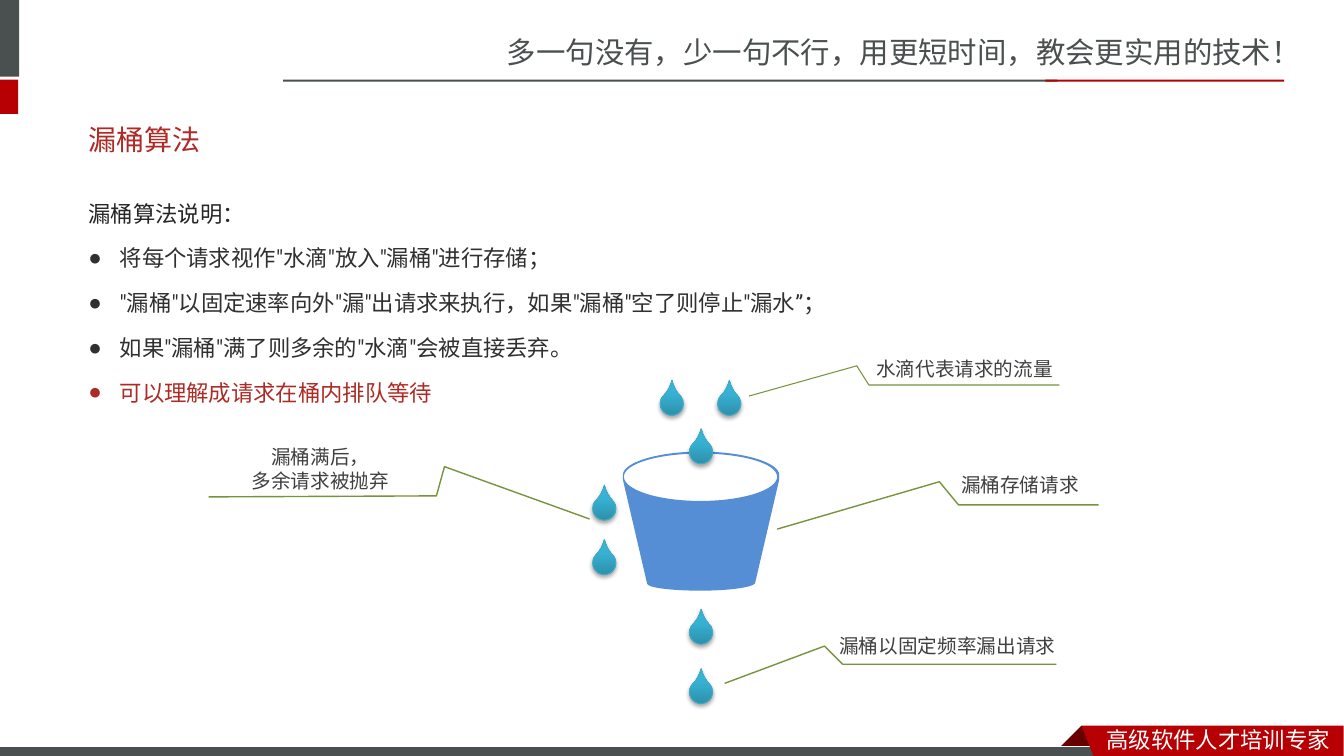
from lxml import etree
from pptx import Presentation
from pptx.dml.color import RGBColor
from pptx.enum.shapes import MSO_SHAPE as Kind
from pptx.enum.text import MSO_ANCHOR as Anchor, PP_ALIGN as Align
from pptx.oxml import parse_xml
from pptx.oxml.ns import nsdecls, qn
from pptx.util import Inches, Pt

GRAY, RED, DARK_RED, WHITE = "49504F", "B60004", "680000", "FFFFFF"
BLUE, GREEN = "558ED5", "77933C"
CJK = "Noto Sans CJK SC"

BARS = [
    (-0.06, 0, 0.25, 0.76, GRAY),
    (-0.06, 0.79, 0.24, 0.34, RED),
    (2.81, 0.79, 7.68, 0.02, GRAY),
    (10.37, 0.79, 2.37, 0.02, RED),
]
FOLD = [[(10.73, 7.2)], [(10.95, 7.42)], [(10.94, 7.43)], [(10.52, 7.43)], [(10.51, 7.42)]]
RIBBON = [[(10.73, 7.2)], [(13.33, 7.2)], [(13.33, 7.54)], [(10.86, 7.53)]]
MOUTH = [
    [(6.95, 4.5)],
    [(6.53, 4.5), (6.19, 4.6), (6.19, 4.73)],
    [(6.19, 4.86), (6.53, 4.97), (6.95, 4.97)],
    [(7.37, 4.97), (7.71, 4.86), (7.71, 4.73)],
    [(7.71, 4.6), (7.37, 4.5), (6.95, 4.5)],
]
WALL = [
    [(6.95, 4.48)],
    [(7.38, 4.48), (7.73, 4.59), (7.73, 4.71)],
    [(7.73, 4.76)],
    [(7.49, 5.79)],
    [(7.45, 5.83), (7.22, 5.86), (6.95, 5.86)],
    [(6.66, 5.86), (6.42, 5.83), (6.42, 5.79)],
    [(6.18, 4.76)],
    [(6.18, 4.71)],
    [(6.18, 4.59), (6.52, 4.48), (6.95, 4.48)],
]
SLOGAN = "多一句没有，少一句不行，用更短时间，教会更实用的技术！"
FOOTER = "高级软件人才培训专家"
TITLE = "漏桶算法"
BODY = [
    ("漏桶算法说明：", "Noto Sans CJK JP", "262626", False),
    ('将每个请求视作"水滴"放入"漏桶"进行存储；', "Roboto", "303030", True),
    ('"漏桶"以固定速率向外"漏"出请求来执行，如果"漏桶"空了则停止"漏水”；', "Roboto", "303030", True),
    ('如果"漏桶"满了则多余的"水滴"会被直接丢弃。', "Roboto", "303030", True),
    ("可以理解成请求在桶内排队等待", "Roboto", "AD2B26", True),
]
DROP_SIZE = 0.23
DROPS = [(7.12, 3.89), (6.84, 4.37), (6.55, 3.89), (6.84, 6.16),
         (6.84, 6.75), (5.88, 4.93), (5.88, 5.47)]
CALLOUTS = [
    (["水滴代表请求的流量"], (8.53, 3.21, 2.08, 0.9), 0.75,
     [(7.43, 3.93), (8.5, 3.63), (8.62, 3.82), (10.51, 3.82)]),
    (["漏桶存储请求"], (9.25, 4.36, 1.74, 0.9), 1,
     [(7.71, 5.25), (9.32, 4.78), (9.51, 5.01), (10.9, 5.01)]),
    (["漏桶满后，", "多余请求被抛弃"], (1.76, 4.2, 2.84, 0.9), 1,
     [(5.85, 5.15), (4.41, 4.63), (4.33, 4.92), (2.07, 4.93)]),
    (["漏桶以固定频率漏出请求"], (7.98, 5.96, 2.84, 0.9), 1,
     [(10.48, 6.59), (8.36, 6.59), (8.18, 6.41), (7.19, 6.78)]),
]


def color(value):
    return RGBColor.from_string(value)


def paint(shape, fill=None, line=None, width=0.75):
    shape.shadow.inherit = False
    if fill:
        shape.fill.solid()
        shape.fill.fore_color.rgb = color(fill)
    else:
        shape.fill.background()
    if line:
        shape.line.color.rgb = color(line)
        shape.line.width = Pt(width)
    else:
        shape.line.fill.background()


def set_font(para, name, size, value):
    font = para.font
    font.name, font.size, font.color.rgb = name, Pt(size), color(value)
    etree.SubElement(font._element, qn("a:ea")).set("typeface", name)


def add_bar(page, left, top, width, height, fill, line=None):
    bar = page.shapes.add_shape(Kind.RECTANGLE, Inches(left), Inches(top), Inches(width), Inches(height))
    paint(bar, fill, line)


def add_outline(page, contours, fill):
    builder = None
    for contour in contours:
        start, *points = [(Inches(x), Inches(y)) for segment in contour for x, y in segment]
        if builder:
            builder.move_to(*start)
        else:
            builder = page.shapes.build_freeform(*start)
        builder.add_line_segments(points)
    shape = builder.convert_to_shape()
    paint(shape, fill)
    steps = shape._element.spPr.iter(qn("a:lnTo"), qn("a:close"))
    steps = iter(list(steps))
    for contour in contours:
        for segment in contour[1:]:
            parts = [next(steps) for _ in segment]
            if len(parts) == 3:
                curve = etree.Element(qn("a:cubicBezTo"))
                parts[0].addprevious(curve)
                for part in parts:
                    curve.append(part[0])
                    part.getparent().remove(part)
        next(steps)


def add_text(page, left, top, width, height):
    box = page.shapes.add_textbox(Inches(left), Inches(top), Inches(width), Inches(height))
    box.text_frame.word_wrap = True
    return box.text_frame


def add_line_of_text(page, text, place, name, size, value):
    frame = add_text(page, *place)
    para = frame.paragraphs[0]
    para.text = text
    set_font(para, name, size, value)
    return frame


def add_body(page):
    frame = add_text(page, 0.78, 1.8, 11.76, 4.61)
    for index, (text, name, value, bulleted) in enumerate(BODY):
        para = frame.add_paragraph() if index else frame.paragraphs[0]
        para.text = text
        para.line_spacing = 1.5
        para.space_before = Pt(3.2)
        if bulleted:
            properties = para._p.get_or_add_pPr()
            properties.set("marL", str(Inches(0.31)))
            properties.set("indent", str(-Inches(0.31)))
            etree.SubElement(properties, qn("a:buFont")).set("typeface", "Arial")
            etree.SubElement(properties, qn("a:buChar")).set("char", "●")
        set_font(para, name, 16, value)


def add_drop(page, left, top):
    drop = page.shapes.add_shape(Kind.TEAR, Inches(left), Inches(top), Inches(DROP_SIZE), Inches(DROP_SIZE))
    drop.adjustments[0] = 1.424
    drop.rotation = 315.4
    paint(drop, None, "46AAC5")
    properties = drop._element.spPr
    stops = "".join(f'<a:gs pos="{place}000"><a:srgbClr val="{value}"/></a:gs>'
                    for place, value in [(0, "2A88A2"), (80, "37B1D2"), (100, "34B4D6")])
    gradient = parse_xml(f'<a:gradFill {nsdecls("a")} rotWithShape="0"><a:gsLst>{stops}</a:gsLst>'
                         '<a:lin ang="16200000" scaled="0"/></a:gradFill>')
    properties.replace(properties.find(qn("a:noFill")), gradient)
    shadow = parse_xml(f'<a:outerShdw {nsdecls("a")} blurRad="{Pt(3.1)}" dist="{Pt(1.8)}" dir="5400000" '
                       'rotWithShape="0"><a:srgbClr val="000000"><a:alpha val="35000"/></a:srgbClr></a:outerShdw>')
    properties.find(qn("a:effectLst")).append(shadow)


def add_callout(page, lines, place, width, points):
    left, top, wide, high = place
    note = page.shapes.add_shape(Kind.LINE_CALLOUT_3_NO_BORDER, *map(Inches, place))
    for index, (x, y) in enumerate(points):
        note.adjustments[2 * index] = (y - top) / high
        note.adjustments[2 * index + 1] = (x - left) / wide
    paint(note, None, GREEN, width)
    frame = note.text_frame
    frame.vertical_anchor = Anchor.MIDDLE
    for index, text in enumerate(lines):
        para = frame.add_paragraph() if index else frame.paragraphs[0]
        para.text = text
        para.alignment = Align.CENTER
        set_font(para, "Courier New", 14, "404040")


def main():
    deck = Presentation()
    deck.slide_width, deck.slide_height = Inches(40 / 3), Inches(7.5)
    page = deck.slides.add_slide(deck.slide_layouts[6])

    add_line_of_text(page, SLOGAN, (4.93, 0.29, 8.41, 0.47), CJK, 21, GRAY)
    for bar in BARS:
        add_bar(page, *bar)
    add_outline(page, [FOLD], DARK_RED)
    add_bar(page, -0.01, 7.41, 11, 0.12, GRAY, WHITE)
    add_outline(page, [RIBBON], RED)
    add_line_of_text(page, FOOTER, (10.88, 7.15, 2.45, 0.37), CJK, 16, WHITE)
    title = add_line_of_text(page, TITLE, (0.78, 1.16, 11.7, 0.44), "Arial", 20, "AD2A26")
    title.vertical_anchor = Anchor.MIDDLE
    add_body(page)

    add_outline(page, [MOUTH, WALL], BLUE)
    for drop in DROPS:
        add_drop(page, *drop)
    for callout in CALLOUTS:
        add_callout(page, *callout)

    deck.save("out.pptx")


if __name__ == "__main__":
    main()
